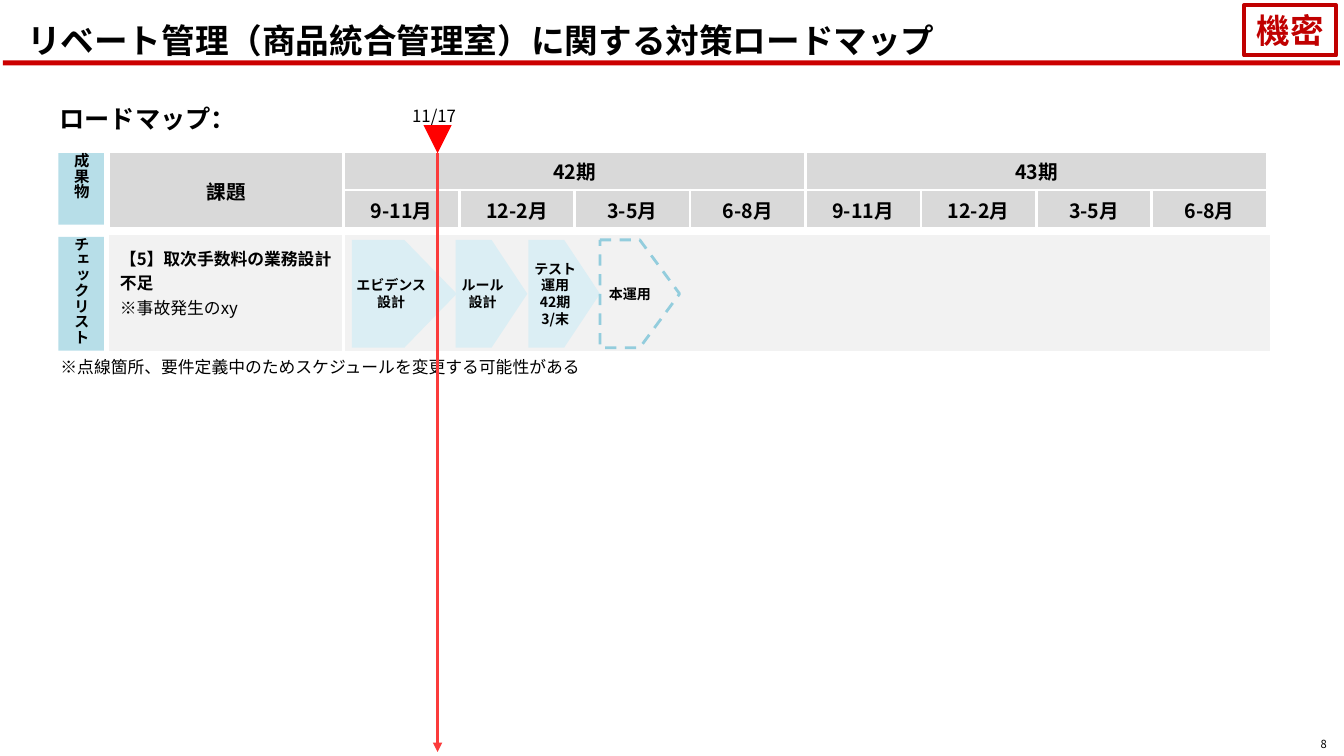
from lxml import etree
from pptx import Presentation
from pptx.dml.color import RGBColor
from pptx.enum.dml import MSO_LINE
from pptx.enum.shapes import MSO_CONNECTOR, MSO_SHAPE
from pptx.enum.text import MSO_ANCHOR, PP_ALIGN
from pptx.oxml.ns import qn
from pptx.util import Inches, Pt

FONT = "Noto Sans CJK JP"
BLACK = RGBColor(0x00, 0x00, 0x00)
WHITE = RGBColor(0xFF, 0xFF, 0xFF)
RULE_RED = RGBColor(0xCC, 0x00, 0x00)
STAMP_RED = RGBColor(0xC0, 0x00, 0x00)
MARKER_RED = RGBColor(0xFF, 0x00, 0x00)
TODAY_RED = RGBColor(0xFB, 0x3B, 0x3B)
LABEL_BLUE = RGBColor(0xB7, 0xDE, 0xE8)
STEP_BLUE = RGBColor(0xDB, 0xEE, 0xF4)
DASH_BLUE = RGBColor(0x93, 0xCD, 0xDD)
HEAD_GRAY = RGBColor(0xD9, 0xD9, 0xD9)
BODY_GRAY = RGBColor(0xF2, 0xF2, 0xF2)


def set_insets(target, insets):
    left, top, right, bottom = (Inches(v) for v in insets)
    target.margin_left, target.margin_top = left, top
    target.margin_right, target.margin_bottom = right, bottom


def write(tf, lines, size, bold=False, color=BLACK, align=PP_ALIGN.LEFT, spacing=None):
    for i, text in enumerate(lines):
        p = tf.paragraphs[0] if i == 0 else tf.add_paragraph()
        p.alignment = align
        if spacing:
            p.line_spacing = spacing
        r = p.add_run()
        r.text = text
        r.font.name, r.font.size, r.font.bold = FONT, Pt(size), bold
        r.font.color.rgb = color
        etree.SubElement(r._r.get_or_add_rPr(), qn("a:ea")).set("typeface", FONT)


def add_text(s, box, text, size, insets=(0.1, 0.05, 0.1, 0.05), wrap=True,
             anchor=MSO_ANCHOR.TOP, **style):
    tf = s.shapes.add_textbox(*(Inches(v) for v in box)).text_frame
    tf.word_wrap = wrap
    tf.vertical_anchor = anchor
    set_insets(tf, insets)
    write(tf, [text], size, **style)


def add_box(s, kind, box, fill=None, line=None, width=0):
    sp = s.shapes.add_shape(kind, *(Inches(v) for v in box))
    sp.shadow.inherit = False
    if fill is None:
        sp.fill.background()
    else:
        sp.fill.solid()
        sp.fill.fore_color.rgb = fill
    if line is None:
        sp.line.fill.background()
    else:
        sp.line.color.rgb = line
        sp.line.width = Pt(width)
    return sp


def add_label(s, top, height, text):
    sp = add_box(s, MSO_SHAPE.RECTANGLE, (0.58, top, 0.45, height), LABEL_BLUE)
    tf = sp.text_frame
    set_insets(tf, (0, 0, 0, 0))
    tf.vertical_anchor = MSO_ANCHOR.MIDDLE
    tf._txBody.bodyPr.set("vert", "eaVert")
    write(tf, [text], 11, bold=True, align=PP_ALIGN.CENTER)


def add_step(s, left, width, lines, planned=False):
    box = (left, 2.38, width, 1.07)
    if planned:
        sp = add_box(s, MSO_SHAPE.PENTAGON, box, line=DASH_BLUE, width=2)
        sp.line.dash_style = MSO_LINE.DASH
    else:
        sp = add_box(s, MSO_SHAPE.PENTAGON, box, STEP_BLUE)
    tf = sp.text_frame
    tf.word_wrap = True
    tf.vertical_anchor = MSO_ANCHOR.MIDDLE
    set_insets(tf, (0, 0.05, 0, 0.05))
    write(tf, lines, 10, bold=True, align=PP_ALIGN.CENTER, spacing=Pt(12))


def style_cell(cell, fill):
    cell.fill.solid()
    cell.fill.fore_color.rgb = fill
    tcPr = cell._tc.get_or_add_tcPr()
    for i, side in enumerate(("a:lnL", "a:lnR", "a:lnT", "a:lnB")):
        ln = etree.Element(qn(side), w=str(Pt(2.25)))
        solid = etree.SubElement(ln, qn("a:solidFill"))
        etree.SubElement(solid, qn("a:srgbClr")).set("val", str(WHITE))
        tcPr.insert(i, ln)


def add_grid(s, left, top, cols, rows, fill):
    table = s.shapes.add_table(len(rows), len(cols), Inches(left), Inches(top),
                               Inches(sum(cols)), Inches(sum(rows))).table
    for column, width in zip(table.columns, cols):
        column.width = Inches(width)
    for row, height in zip(table.rows, rows):
        row.height = Inches(height)
    for cell in table.iter_cells():
        style_cell(cell, fill)
    return table


def add_header(s):
    table = add_grid(s, 1.08, 1.5, [2.33] + [1.145] * 8, [0.385] * 2, HEAD_GRAY)
    table.cell(0, 0).merge(table.cell(1, 0))
    heads = {(0, 0): "課題"}
    for col, term in ((1, "42期"), (5, "43期")):
        table.cell(0, col).merge(table.cell(0, col + 3))
        heads[0, col] = term
        for i, months in enumerate(("9-11月", "12-2月", "3-5月", "6-8月")):
            heads[1, col + i] = months
    for (row, col), text in heads.items():
        cell = table.cell(row, col)
        cell.vertical_anchor = MSO_ANCHOR.MIDDLE
        set_insets(cell, (0.01, 0.01, 0.01, 0))
        write(cell.text_frame, [text], 14, bold=True, align=PP_ALIGN.CENTER)


def add_issue(s):
    cell = add_grid(s, 1.07, 2.32, [2.34, 9.2], [1.18], BODY_GRAY).cell(0, 0)
    set_insets(cell, (0.12, 0.12, 0.12, 0.12))
    write(cell.text_frame, ["【5】取次手数料の業務設計不足", "※事故発生のxy"], 12, bold=True)
    cell.text_frame.paragraphs[1].runs[0].font.bold = False


def add_today(s):
    add_box(s, MSO_SHAPE.FLOWCHART_MERGE, (4.2, 1.24, 0.28, 0.28), MARKER_RED)
    add_text(s, (3.99, 1, 0.7, 0.3), "11/17", 12, wrap=False)
    line = s.shapes.add_connector(MSO_CONNECTOR.STRAIGHT, Inches(4.34), Inches(1.52),
                                  Inches(4.34), Inches(7.46))
    line.line.color.rgb = TODAY_RED
    line.line.width = Pt(2.25)
    etree.SubElement(line.line._get_or_add_ln(), qn("a:tailEnd")).set("type", "triangle")
    etree.SubElement(line._element.spPr, qn("a:effectLst"))


def main():
    prs = Presentation()
    prs.slide_width, prs.slide_height = Inches(13.33), Inches(7.5)
    s = prs.slides.add_slide(prs.slide_layouts[6])

    add_text(s, (12.83, 7.32, 0.43, 0.13), "8", 8, (0.1, 0, 0.1, 0), wrap=False,
             anchor=MSO_ANCHOR.MIDDLE, align=PP_ALIGN.RIGHT)
    add_box(s, MSO_SHAPE.RECTANGLE, (0.03, 0.6, 13.26, 0.05), RULE_RED)
    add_text(s, (0.17, 0.04, 10.18, 0.71), "リベート管理（商品統合管理室）に関する対策ロードマップ",
             24, anchor=MSO_ANCHOR.MIDDLE, bold=True)
    stamp = add_box(s, MSO_SHAPE.RECTANGLE, (12.34, 0.05, 0.91, 0.5), line=STAMP_RED, width=3)
    stamp.text_frame.vertical_anchor = MSO_ANCHOR.MIDDLE
    write(stamp.text_frame, ["機密"], 24, bold=True, color=STAMP_RED, align=PP_ALIGN.CENTER)
    add_text(s, (0.59, 1.02, 11.97, 0.61), "ロードマップ：", 18, (0, 0, 0, 0), bold=True)

    add_issue(s)
    add_label(s, 2.35, 1.13, "チェックリスト")
    add_label(s, 1.52, 0.71, "成果物")
    add_step(s, 3.49, 1.04, ["エビデンス設計"])
    add_step(s, 4.52, 0.71, ["ルール設計"])
    add_step(s, 5.24, 0.71, ["テスト運用", "42期3/末"])
    add_step(s, 5.95, 0.79, ["本運用"], planned=True)
    add_header(s)
    add_text(s, (0.6, 3.54, 12.5, 0.2), "※点線箇所、要件定義中のためスケジュールを変更する可能性がある",
             12, (0, 0, 0, 0))
    add_today(s)
    prs.save("out.pptx")


main()
